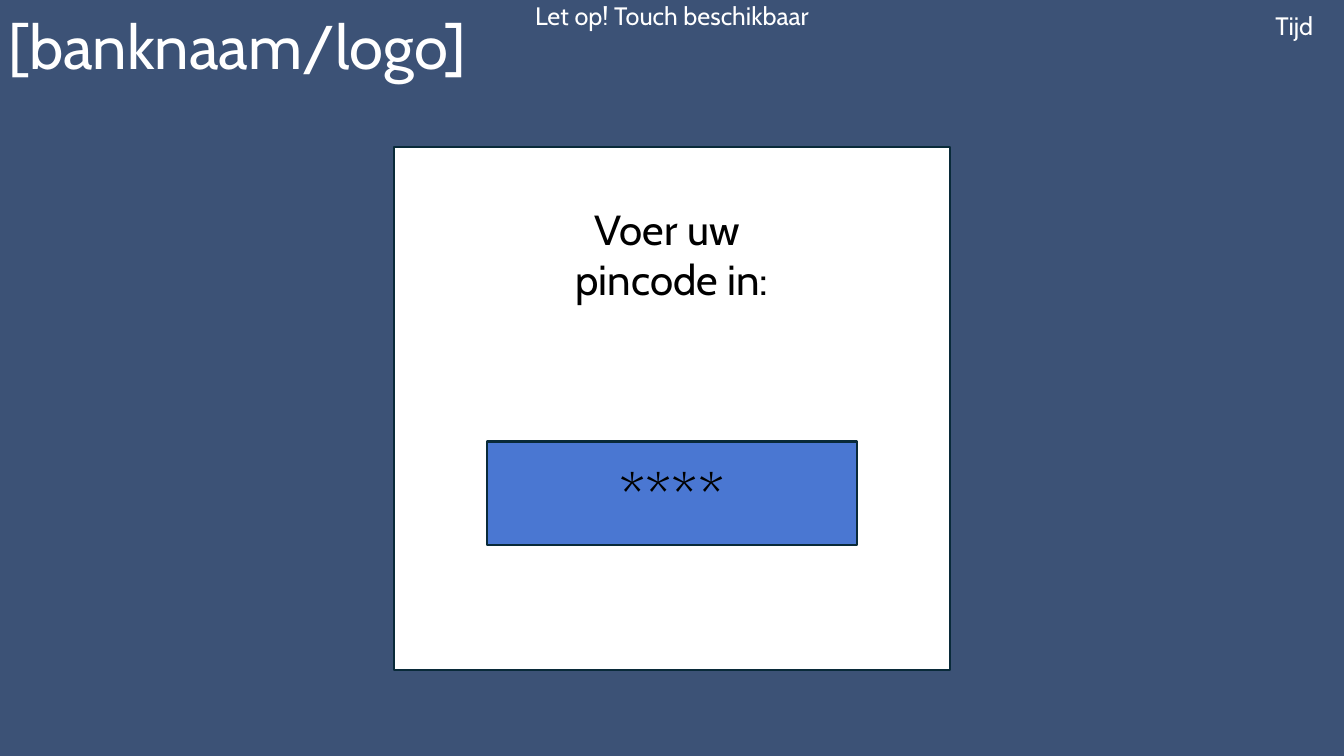
from pptx import Presentation
from pptx.dml.color import RGBColor
from pptx.enum.shapes import MSO_SHAPE
from pptx.enum.text import MSO_ANCHOR, PP_ALIGN
from pptx.util import Inches, Pt

RECT = MSO_SHAPE.RECTANGLE
TOP, MIDDLE = MSO_ANCHOR.TOP, MSO_ANCHOR.MIDDLE
LEFT, CENTER = PP_ALIGN.LEFT, PP_ALIGN.CENTER


def color(code):
    return RGBColor.from_string(code)


class Screen:
    font = "Cabin"
    back, white, black = "3C5276", "FFFFFF", "000000"
    blue, edge = "4A77D2", "092A39"

    def __init__(self, deck):
        self.slide = deck.slides.add_slide(deck.slide_layouts[6])
        fill = self.slide.background.fill
        fill.solid()
        fill.fore_color.rgb = color(self.back)

    def set_text(self, shape, lines, size, ink, align=CENTER, anchor=MIDDLE):
        frame = shape.text_frame
        frame.word_wrap = True
        frame.vertical_anchor = anchor
        frame.text = "\n".join(lines)
        for para in frame.paragraphs:
            para.alignment = align
            para.font.name = self.font
            para.font.size = Pt(size)
            para.font.color.rgb = color(ink)
        return frame

    def label(self, box, text, size, align=CENTER):
        shape = self.slide.shapes.add_textbox(*map(Inches, box))
        return self.set_text(shape, [text], size, self.white, align)

    def panel(self, box, fill, lines, size, anchor=MIDDLE):
        shape = self.slide.shapes.add_shape(RECT, *map(Inches, box))
        shape.shadow.inherit = False
        shape.fill.solid()
        shape.fill.fore_color.rgb = color(fill)
        shape.line.color.rgb = color(self.edge)
        shape.line.width = Pt(1.5)
        return self.set_text(shape, lines, size, self.black, anchor=anchor)


def main():
    deck = Presentation()
    deck.slide_width, deck.slide_height = Inches(13.33), Inches(7.5)
    screen = Screen(deck)

    # Top bar
    title = screen.label((-0.01, -0.23, 13.33, 1.45), "[banknaam/logo]", 44, LEFT)
    title.paragraphs[0].line_spacing = 0.9
    screen.label((12.4, 0, 0.93, 0.5), "Tijd ", 18)
    screen.label((4.24, 0.01, 4.85, 0.28), "Let op! Touch beschikbaar", 18)

    # Card with the prompt, set one line below its top edge
    prompt = screen.panel((3.91, 1.46, 5.51, 5.19), screen.white,
                          ["Voer uw ", "pincode in:"], 30, TOP)
    prompt.margin_top = Inches(0.56)

    # Pin field
    screen.panel((4.83, 4.38, 3.67, 1.03), screen.blue, ["****"], 44)

    deck.save("out.pptx")


if __name__ == "__main__":
    main()
